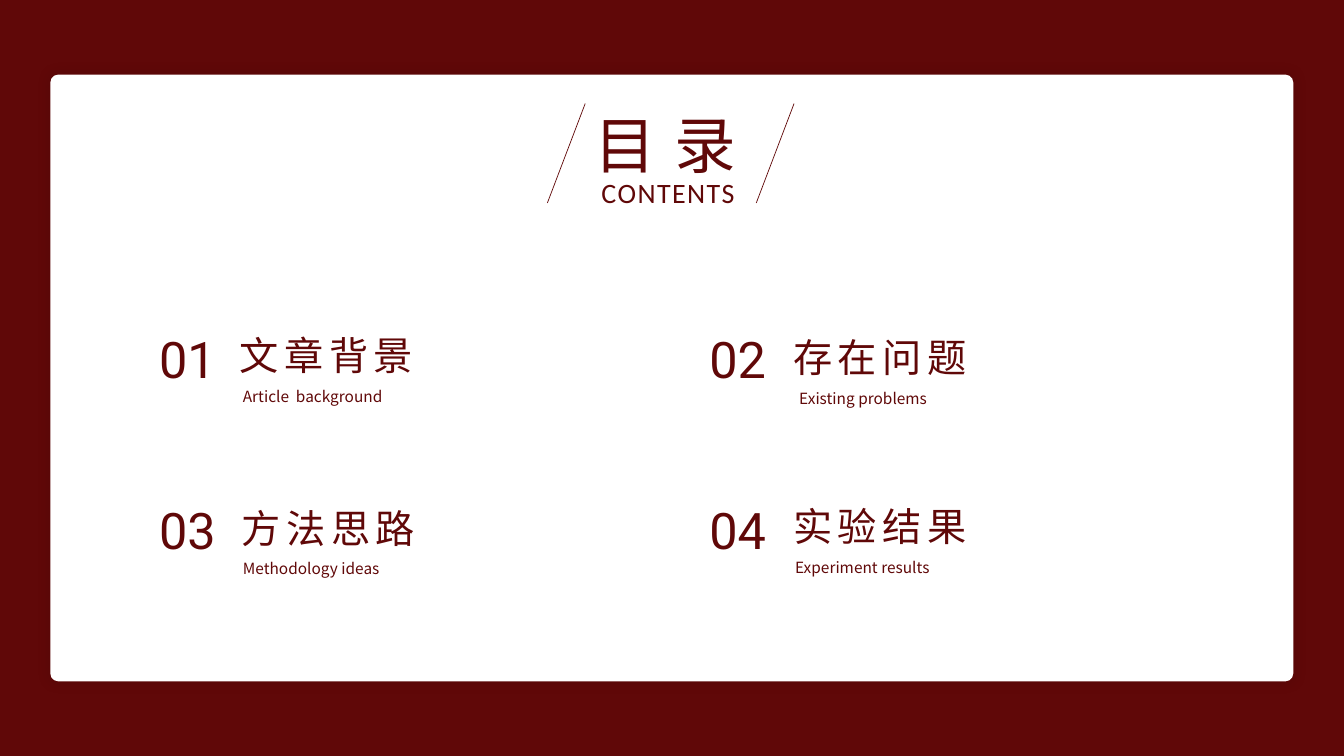
from lxml import etree
from pptx import Presentation
from pptx.dml.color import RGBColor
from pptx.enum.shapes import MSO_CONNECTOR as Connector, MSO_SHAPE as Shape
from pptx.enum.text import MSO_ANCHOR as Anchor, MSO_AUTO_SIZE as AutoSize, PP_ALIGN as Align
from pptx.oxml import parse_xml
from pptx.oxml.ns import nsdecls, qn
from pptx.util import Pt

MAROON = RGBColor(0x60, 0x08, 0x08)
WHITE = RGBColor(0xFF, 0xFF, 0xFF)
CJK_FONT = "Noto Sans CJK SC"

COLUMNS = (106.6, 499.7)
ROWS = (231.1, 353.2)
# Number, heading and its offset, caption and its offset within the entry
ENTRIES = (
    ("01", "文章背景", (57.6, 2.2), "Article  background", (59.8, 41.8)),
    ("02", "存在问题", (59.8, 3.6), "Existing problems", (64.1, 43.2)),
    ("03", "方法思路", (59, 3.2), "Methodology ideas", (59.8, 42.8)),
    ("04", "实验结果", (59.8, 1.8), "Experiment results", (61.2, 42.1)),
)


def write(holder, text, size, font, spacing=0, align=Align.LEFT):
    """Fill a placeholder or text box with one formatted line."""
    frame = holder.text_frame
    frame.text = text
    frame.word_wrap = True
    frame.auto_size = AutoSize.NONE
    frame.vertical_anchor = Anchor.TOP
    line = frame.paragraphs[0]
    line.alignment = align
    run = line.runs[0]
    run.font.size = Pt(size)
    run.font.name = font
    run.font.color.rgb = MAROON
    properties = run.font._element
    east_asian = etree.SubElement(properties, qn("a:ea"))
    east_asian.set("typeface", font)
    if spacing:
        properties.set("spc", str(spacing * 100))


def add_text(slide, left, top, width, height, *text_format):
    box = slide.shapes.add_textbox(Pt(left), Pt(top), Pt(width), Pt(height))
    write(box, *text_format)


def add_panel(slide, left, top, width, height):
    """Place the white card with a soft shadow behind everything else."""
    panel = slide.shapes.add_shape(
        Shape.ROUNDED_RECTANGLE, Pt(left), Pt(top), Pt(width), Pt(height))
    panel.adjustments[0] = 0.013
    panel.fill.solid()
    panel.fill.fore_color.rgb = WHITE
    panel.line.fill.background()
    panel._element.spPr.append(parse_xml(
        f'<a:effectLst {nsdecls("a")}><a:outerShdw blurRad="{Pt(10)}" dist="0" dir="0">'
        '<a:srgbClr val="000000"><a:alpha val="10000"/></a:srgbClr>'
        '</a:outerShdw></a:effectLst>'))
    slide.shapes._spTree.insert(2, panel._element)


def add_slash(slide, left, top, width, height):
    slash = slide.shapes.add_connector(
        Connector.STRAIGHT, Pt(left + width), Pt(top), Pt(left), Pt(top + height))
    slash.line.color.rgb = MAROON
    slash.line.width = Pt(0.5)
    etree.SubElement(slash._element.spPr, qn("a:effectLst"))


def add_heading(slide, left, top):
    title = slide.shapes.title
    title.left, title.top = Pt(left + 26.6), Pt(top - 1.2)
    title.width, title.height = Pt(235.4), Pt(60.5)
    write(title, "目录", 44, CJK_FONT, 13)
    add_text(slide, left + 31.6, top + 47.7, 116, 55.4, "CONTENTS", 20, "Calibri", 1)
    for slash_left in (left, left + 149.2):
        add_slash(slide, slash_left, top, 27, 71)


def add_entry(slide, left, top, number, heading, heading_offset, caption, caption_offset):
    dx, dy = heading_offset
    add_text(slide, left + dx, top + dy, 249, 41, heading, 28, CJK_FONT, 4)
    dx, dy = caption_offset
    add_text(slide, left + dx, top + dy, 295, 21, caption, 11, CJK_FONT, 0, Align.JUSTIFY)
    add_text(slide, left, top, 76.3, 51.1, number, 36, "Roboto")


def build_contents(deck):
    slide = deck.slides.add_slide(deck.slide_layouts[5])
    slide.background.fill.solid()
    slide.background.fill.fore_color.rgb = MAROON
    add_panel(slide, 36, 53.3, 887.8, 433.4)
    add_heading(slide, 391, 74)
    for index, entry in enumerate(ENTRIES):
        row, column = divmod(index, len(COLUMNS))
        add_entry(slide, COLUMNS[column], ROWS[row], *entry)


def main():
    deck = Presentation()
    deck.slide_width, deck.slide_height = Pt(960), Pt(540)
    build_contents(deck)
    deck.save("out.pptx")


if __name__ == "__main__":
    main()
